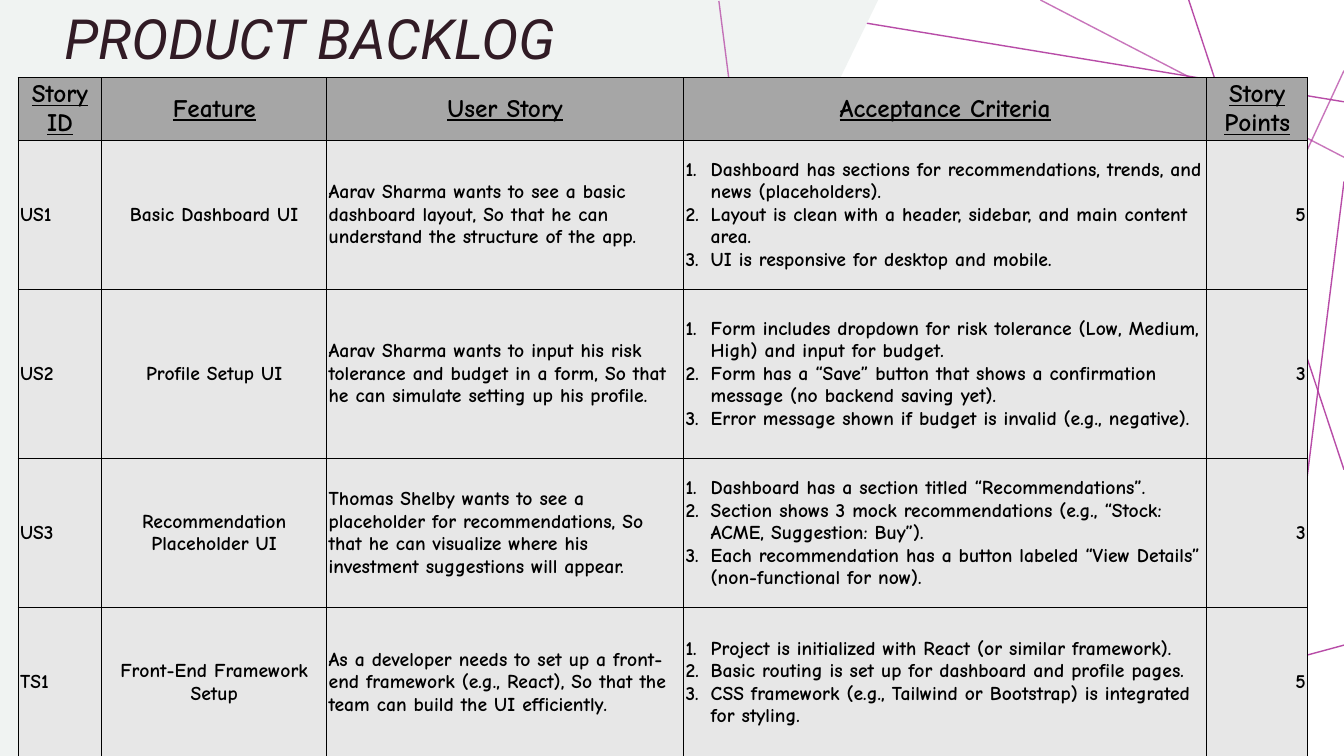
"""Build the Product Backlog slide: a table of user stories over a line pattern."""
from lxml.etree import SubElement
from pptx import Presentation
from pptx.dml.color import RGBColor
from pptx.enum.shapes import MSO_CONNECTOR
from pptx.enum.text import MSO_ANCHOR, PP_ALIGN
from pptx.oxml.ns import qn
from pptx.util import Inches, Pt


def color(hex_value):
    return RGBColor.from_string(hex_value)


def add_ray(x1, y1, x2, y2, opacity):
    ray = slide.shapes.add_connector(
        MSO_CONNECTOR.STRAIGHT, Inches(x1), Inches(y1), Inches(x2), Inches(y2))
    ray.line.color.rgb = color("B13B9F")
    ray.line.width = Pt(1)
    tint = ray.line._get_or_add_ln().find(".//" + qn("a:srgbClr"))
    SubElement(tint, qn("a:alpha"), val=str(opacity * 1000))
    SubElement(ray._element.spPr, qn("a:effectLst"))


prs = Presentation()
prs.slide_width = Inches(13.33)
prs.slide_height = Inches(7.5)
slide = prs.slides.add_slide(prs.slide_layouts[6])
slide.background.fill.solid()
slide.background.fill.fore_color.rgb = color("FFFFFF")

back_rays = [
    (6.83, 7.5, -0.05, 6.33),
    (13.33, 6.4, 9.26, 7.5),
    (13.33, 1.8, 12.62, 7.5),
    (13.33, 4.66, 11.79, 0),
    (13.33, 1.01, 7.14, -0.01),
]
for ray_ends in back_rays:
    add_ray(*ray_ends, opacity=91)

outline = slide.shapes.build_freeform(0, 0, scale=Inches(1) / 100)
outline.add_line_segments([(871, 0), (506, 750), (0, 750)], close=True)
panel = outline.convert_to_shape()
panel.shadow.inherit = False
panel.fill.solid()
panel.fill.fore_color.rgb = color("F0F3F2")
panel.line.fill.background()

title = slide.shapes.add_textbox(Inches(0.54), Inches(0.01), Inches(10.97), Inches(0.75))
title.text_frame.word_wrap = True
title.text_frame.vertical_anchor = MSO_ANCHOR.BOTTOM
heading = title.text_frame.paragraphs[0]
heading.text = "PRODUCT BACKLOG"
heading.line_spacing = 0.9
heading.font.name = "Roboto"
heading.font.size = Pt(39.6)
heading.font.italic = True
heading.font.color.rgb = color("311B25")

front_rays = [
    (8.09, 7.51, 7.13, 0.01),
    (10.18, 7.5, 13.33, 0.7),
    (10.32, 0, 13.33, 1.56),
]
for ray_ends in front_rays:
    add_ray(*ray_ends, opacity=70)

backlog = [
    ("Story ID", "Feature", "User Story", ["Acceptance Criteria"], "Story Points"),
    ("US1", "Basic Dashboard UI",
     "Aarav Sharma wants to see a basic dashboard layout, So that he can "
     "understand the structure of the app.",
     ["Dashboard has sections for recommendations, trends, and news (placeholders).",
      "Layout is clean with a header, sidebar, and main content area.",
      "UI is responsive for desktop and mobile."], "5"),
    ("US2", "Profile Setup UI",
     "Aarav Sharma wants to input his risk tolerance and budget in a form, So that "
     "he can simulate setting up his profile.",
     ["Form includes dropdown for risk tolerance (Low, Medium, High) and input for budget.",
      "Form has a “Save” button that shows a confirmation message (no backend saving yet).",
      "Error message shown if budget is invalid (e.g., negative)."], "3"),
    ("US3", "Recommendation Placeholder UI",
     "Thomas Shelby wants to see a placeholder for recommendations, So that he can "
     "visualize where his investment suggestions will appear.",
     ["Dashboard has a section titled “Recommendations”.",
      "Section shows 3 mock recommendations (e.g., “Stock: ACME, Suggestion: Buy”).",
      "Each recommendation has a button labeled “View Details” (non-functional for now)."],
     "3"),
    ("TS1", "Front-End Framework Setup",
     "As a developer needs to set up a front-end framework (e.g., React), So that the "
     "team can build the UI efficiently.",
     ["Project is initialized with React (or similar framework).",
      "Basic routing is set up for dashboard and profile pages.",
      "CSS framework (e.g., Tailwind or Bootstrap) is integrated for styling."], "5"),
]
column_widths = [0.83, 2.23, 3.54, 5.19, 1]
row_heights = [0.6, 1.48, 1.68, 1.48, 1.48]
alignments = [PP_ALIGN.LEFT, PP_ALIGN.CENTER, PP_ALIGN.LEFT, PP_ALIGN.LEFT, PP_ALIGN.RIGHT]

table = slide.shapes.add_table(
    len(backlog), len(column_widths), Inches(0.18), Inches(0.77),
    Inches(sum(column_widths)), Inches(sum(row_heights))).table
table.first_row = False
table.horz_banding = False
for column, width in zip(table.columns, column_widths):
    column.width = Inches(width)
for row, height in zip(table.rows, row_heights):
    row.height = Inches(height)

for row_index, story in enumerate(backlog):
    is_header = row_index == 0
    for column_index, content in enumerate(story):
        cell = table.cell(row_index, column_index)
        cell.vertical_anchor = MSO_ANCHOR.MIDDLE
        cell.margin_left = cell.margin_right = Inches(0.02)
        cell.margin_top = cell.margin_bottom = Inches(0.01)
        for side in ("a:lnL", "a:lnR", "a:lnT", "a:lnB"):
            border = SubElement(cell._tc.get_or_add_tcPr(), qn(side), w=str(Pt(1)))
            SubElement(SubElement(border, qn("a:solidFill")), qn("a:srgbClr"), val="000000")
        cell.fill.solid()
        cell.fill.fore_color.rgb = color("A6A6A6" if is_header else "E7E7E7")

        is_list = isinstance(content, list)
        cell.text = "\n".join(content) if is_list else content
        for paragraph in cell.text_frame.paragraphs:
            paragraph.alignment = PP_ALIGN.CENTER if is_header else alignments[column_index]
            if is_list and not is_header:
                properties = paragraph._p.get_or_add_pPr()
                properties.set("marL", str(Inches(0.25)))
                properties.set("indent", str(Inches(-0.25)))
                SubElement(properties, qn("a:buAutoNum"), type="arabicPeriod")
            paragraph.font.name = "Comic Neue"
            paragraph.font.size = Pt(18 if is_header else 14)
            paragraph.font.bold = True
            paragraph.font.underline = is_header
            paragraph.font.color.rgb = color("000000")

prs.save("out.pptx")
